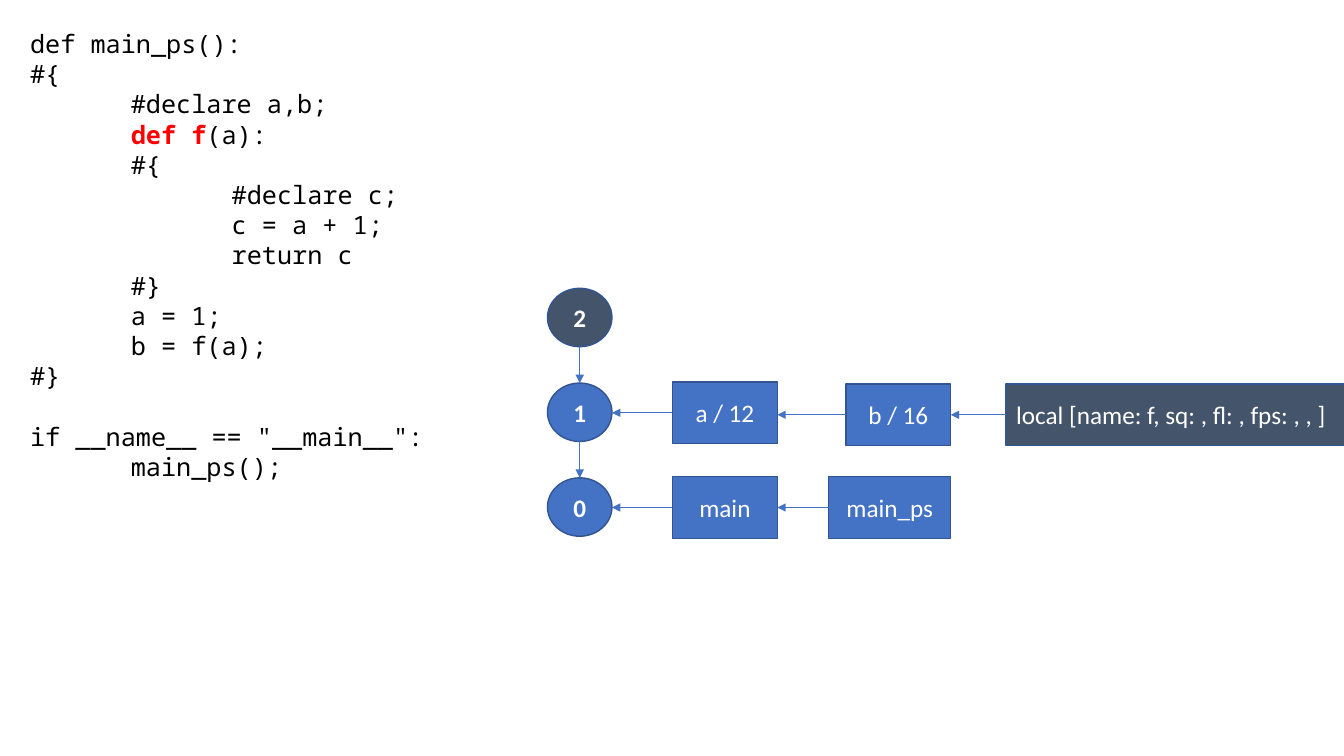
"""Build a slide showing nested Python code beside its symbol table scopes."""
from lxml import etree
from pptx import Presentation
from pptx.dml.color import RGBColor
from pptx.enum.shapes import MSO_CONNECTOR, MSO_SHAPE
from pptx.enum.text import MSO_ANCHOR, PP_ALIGN
from pptx.oxml.ns import qn
from pptx.util import Inches, Pt

STRAIGHT = MSO_CONNECTOR.STRAIGHT
OVAL, RECTANGLE = MSO_SHAPE.OVAL, MSO_SHAPE.RECTANGLE
MIDDLE = MSO_ANCHOR.MIDDLE
LEFT, CENTER = PP_ALIGN.LEFT, PP_ALIGN.CENTER

COLORS = {"blue": "4472C4", "slate": "44546A", "border": "325491",
          "white": "FFFFFF", "black": "000000", "red": "FF0000"}
CODE_FONT = {"name": "Noto Sans Mono", "size": Pt(18), "bold": False}
LABEL_FONT = {"name": "Calibri", "size": Pt(18), "bold": False}
LEVEL_FONT = {**LABEL_FONT, "bold": True}

HIGHLIGHT = "def f"
CODE_BLOCKS = [
    ["def main_ps():", "#{ ", "\t#declare a,b; ", "\tdef f(a):", "\t#{ ",
     "\t\t#declare c; ", "\t\tc = a + 1; ", "\t\treturn c ", "\t#} ",
     "\ta = 1; ", "\tb = f(a);", "#}"],
    ['if __name__ == "__main__":', "\tmain_ps();"],
]
CODE_LINE = Pt(21.6)
CODE_TAB = Inches(1)

SCOPES = [
    ("2", "slate", []),
    ("1", "blue", [
        ("a / 12", 6.67, 1.04, 0, "blue", CENTER),
        ("b / 16", 8.39, 1.04, 0.02, "blue", CENTER),
        ("local [name: f, sq: , fl: , fps: , , ]", 9.98, 3.36, 0.02, "slate", LEFT),
    ]),
    ("0", "blue", [
        ("main", 6.67, 1.04, 0, "blue", CENTER),
        ("main_ps", 8.22, 1.21, 0, "blue", CENTER),
    ]),
]
LEVEL_LEFT, LEVEL_WIDTH, LEVEL_HEIGHT = 5.43, 0.64, 0.58
FIRST_LEVEL_TOP, LEVEL_PITCH = 2.86, 0.94
ENTRY_HEIGHT, ENTRY_RISE = 0.61, 0.01


def rgb(color):
    return RGBColor.from_string(COLORS[color])


def add_run(paragraph, text, font, color):
    run = paragraph.add_run()
    run.text = text
    for attribute, value in font.items():
        setattr(run.font, attribute, value)
    run.font.color.rgb = rgb(color)


def add_code(slide):
    frame = slide.shapes.add_textbox(
        Inches(0.2), Inches(0.23), Inches(5.73), Inches(4.64)).text_frame
    frame.word_wrap = True
    paragraph = frame.paragraphs[0]
    for block_number, block in enumerate(CODE_BLOCKS):
        for line_number, line in enumerate(block):
            if block_number or line_number:
                paragraph = frame.add_paragraph()
            paragraph.line_spacing = CODE_LINE
            paragraph._p.get_or_add_pPr().set("defTabSz", str(int(CODE_TAB)))
            if block_number and not line_number:
                paragraph.space_before = CODE_LINE
            before, keyword, after = line.partition(HIGHLIGHT)
            for text, font, color in [(before, CODE_FONT, "black"),
                                      (keyword, {**CODE_FONT, "bold": True}, "red"),
                                      (after, CODE_FONT, "black")]:
                if text:
                    add_run(paragraph, text, font, color)


def add_node(slide, kind, box, text, fill, font, align=CENTER):
    node = slide.shapes.add_shape(kind, *map(Inches, box))
    node.shadow.inherit = False
    node.fill.solid()
    node.fill.fore_color.rgb = rgb(fill)
    node.line.color.rgb = rgb("border")
    node.line.width = Pt(1)
    node.text_frame.vertical_anchor = MIDDLE
    paragraph = node.text_frame.paragraphs[0]
    paragraph.alignment = align
    add_run(paragraph, text, font, "white")


def add_arrow(slide, *ends):
    arrow = slide.shapes.add_connector(STRAIGHT, *map(Inches, ends))
    arrow.line.color.rgb = rgb("blue")
    arrow.line.width = Pt(1)
    etree.SubElement(arrow.line._get_or_add_ln(), qn("a:tailEnd"), type="triangle")
    etree.SubElement(arrow._element.spPr, qn("a:effectLst"))


def add_scopes(slide):
    level_center = LEVEL_LEFT + LEVEL_WIDTH / 2
    for number, (level, level_fill, entries) in enumerate(SCOPES):
        top = FIRST_LEVEL_TOP + number * LEVEL_PITCH
        add_node(slide, OVAL, (LEVEL_LEFT, top, LEVEL_WIDTH, LEVEL_HEIGHT),
                 level, level_fill, LEVEL_FONT)
        if number:
            add_arrow(slide, level_center, top - LEVEL_PITCH + LEVEL_HEIGHT,
                      level_center, top)
        previous_right = LEVEL_LEFT + LEVEL_WIDTH
        for text, left, width, drop, fill, align in entries:
            entry_top = top - ENTRY_RISE + drop
            middle = entry_top + ENTRY_HEIGHT / 2
            add_node(slide, RECTANGLE, (left, entry_top, width, ENTRY_HEIGHT),
                     text, fill, LABEL_FONT, align)
            add_arrow(slide, left, middle, previous_right, middle)
            previous_right = left + width


presentation = Presentation()
presentation.slide_width, presentation.slide_height = Inches(13.33), Inches(7.5)
scope_slide = presentation.slides.add_slide(presentation.slide_layouts[6])
add_code(scope_slide)
add_scopes(scope_slide)
presentation.save("out.pptx")
